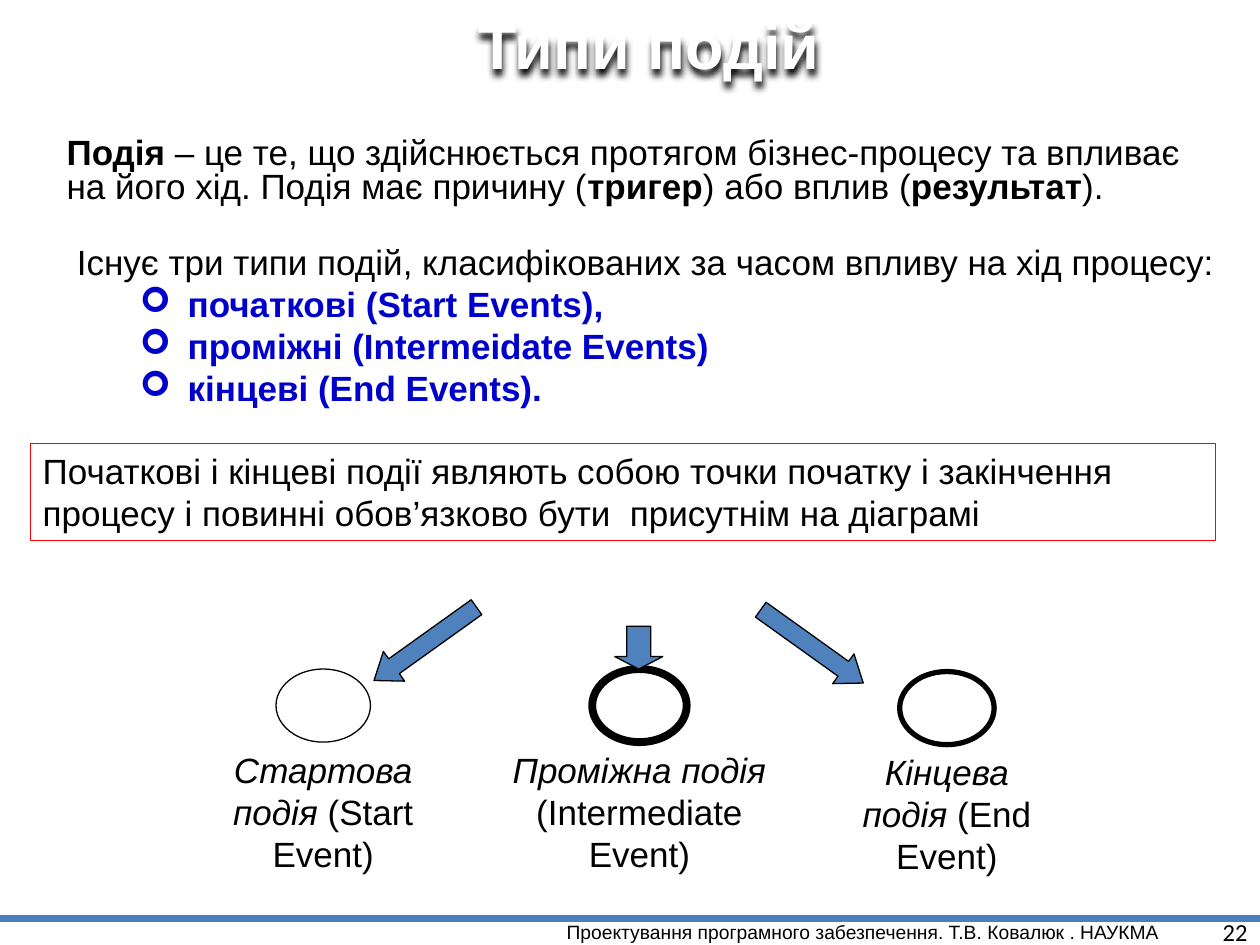
from dataclasses import dataclass

from lxml.etree import SubElement
from pptx import Presentation
from pptx.dml.color import RGBColor
from pptx.enum.shapes import MSO_CONNECTOR, MSO_SHAPE
from pptx.enum.text import MSO_ANCHOR, MSO_AUTO_SIZE, PP_ALIGN
from pptx.oxml.ns import qn
from pptx.util import Inches, Pt


@dataclass(frozen=True)
class Theme:
    ink: str = "000000"
    paper: str = "FFFFFF"
    emphasis: str = "0000CC"
    arrow: str = "4F81BD"
    rule: str = "4B7EBC"
    frame: str = "FF0000"
    font: str = "Arial"
    number_font: str = "Calibri"
    title_size: int = 36
    text_size: int = 20
    footer_size: int = 11
    number_size: int = 14
    thin: float = 0.75
    heavy: float = 4.5


THEME = Theme()


def set_all(target, values):
    for name, value in values.items():
        setattr(target, name, value)


def place(shape, box):
    set_all(shape, dict(zip(("left", "top", "width", "height"), map(Inches, box))))


def add_span(para, text, color=THEME.ink, size=THEME.text_size, font=THEME.font, **style):
    span = para.add_run()
    span.text = text
    set_all(span.font, {"name": font, "size": Pt(size), "bold": False, **style})
    span.font.color.rgb = RGBColor.from_string(color)


def add_text(shapes, box, spans, align=PP_ALIGN.LEFT, **frame_format):
    shape = shapes.add_textbox(*map(Inches, box))
    set_all(shape.text_frame, {"word_wrap": True, **frame_format})
    para = shape.text_frame.paragraphs[0]
    para.alignment = align
    for text, style in spans:
        add_span(para, text, **style)
    return para


def outline(shape, color, width):
    shape.shadow.inherit = False
    shape.line.color.rgb = RGBColor.from_string(color)
    shape.line.width = Pt(width)


def add_filled(shapes, kind, box, fill, width):
    shape = shapes.add_shape(kind, *map(Inches, box))
    shape.fill.solid()
    shape.fill.fore_color.rgb = RGBColor.from_string(fill)
    outline(shape, THEME.ink, width)
    return shape


def add_title(page, box):
    title = page.shapes.title
    place(title, box)
    set_all(title.text_frame, {
        "word_wrap": False,
        "vertical_anchor": MSO_ANCHOR.TOP,
        "auto_size": MSO_AUTO_SIZE.SHAPE_TO_FIT_TEXT,
    })
    para = title.text_frame.paragraphs[0]
    para.alignment = PP_ALIGN.LEFT
    add_span(para, "Типи подій", THEME.paper, THEME.title_size, bold=True)
    effects = SubElement(title._element.spPr, qn("a:effectLst"))
    shadow = SubElement(effects, qn("a:outerShdw"), blurRad=str(Pt(4)),
                        dist=str(Pt(4)), dir="5400000", algn="t", rotWithShape="0")
    SubElement(shadow, qn("a:srgbClr"), val=THEME.ink)


def add_definition(page, box):
    spans = [
        ("Подія", {"bold": True}),
        (" – це те, що здійснюється протягом бізнес-процесу та впливає "
         "на його хід. Подія має причину (", {}),
        ("тригер", {"bold": True}),
        (") або вплив (", {}),
        ("результат", {"bold": True}),
        (").", {}),
    ]
    add_text(page.shapes, box, spans).line_spacing = 0.8


def add_event_list(page, box):
    body = page.placeholders[1]
    place(body, box)
    frame = body.text_frame
    frame.auto_size = MSO_AUTO_SIZE.SHAPE_TO_FIT_TEXT
    intro = frame.paragraphs[0]
    intro.space_before = Pt(0)
    add_span(intro, "Існує три типи подій, класифікованих за часом впливу на хід процесу:")
    properties = intro._p.get_or_add_pPr()
    properties.set("marL", "0")
    properties.set("indent", "0")
    SubElement(properties, qn("a:buNone"))
    for text in ("початкові (Start Events),", "проміжні (Intermeidate Events)",
                 "кінцеві (End Events)."):
        para = frame.add_paragraph()
        set_all(para, {"level": 1, "space_before": Pt(0)})
        add_span(para, text, THEME.emphasis, bold=True)
        properties = para._p.get_or_add_pPr()
        properties.set("marL", str(Inches(0.88)))
        properties.set("indent", str(Inches(-0.38)))
        SubElement(properties, qn("a:buFont"), typeface="Wingdings")
        SubElement(properties, qn("a:buChar"), char="➢")


def add_note(page, box):
    note = page.shapes.add_shape(MSO_SHAPE.RECTANGLE, *map(Inches, box))
    note.fill.background()
    outline(note, THEME.frame, THEME.thin)
    set_all(note.text_frame, {"word_wrap": True, "vertical_anchor": MSO_ANCHOR.TOP})
    para = note.text_frame.paragraphs[0]
    para.alignment = PP_ALIGN.LEFT
    add_span(para, "Початкові і кінцеві події являють собою точки початку і закінчення "
                   "процесу і повинні обов’язково бути  присутнім на діаграмі")


def add_event(page, box, name, english, ring, arrow_box, rotation, head):
    left, top, width, height = box
    circle_width, circle_height = 0.75, 0.58
    group = page.shapes.add_group_shape()
    circle_box = (left + (width - circle_width) / 2, top, circle_width, circle_height)
    add_filled(group.shapes, MSO_SHAPE.OVAL, circle_box, THEME.paper, ring)
    label_box = (left, top + circle_height, width, height - circle_height)
    add_text(group.shapes, label_box, [(name, {"italic": True}), (english, {})],
             PP_ALIGN.CENTER)
    arrow = add_filled(group.shapes, MSO_SHAPE.DOWN_ARROW, arrow_box,
                       THEME.arrow, THEME.thin)
    arrow.rotation = rotation
    arrow.adjustments[1] = head


def add_footer(page, box):
    left, top, width, height = box
    rule = page.shapes.add_connector(MSO_CONNECTOR.STRAIGHT, Inches(left), Inches(top),
                                     Inches(left + width), Inches(top))
    rule.line.color.rgb = RGBColor.from_string(THEME.rule)
    rule.line.width = Pt(THEME.heavy)
    SubElement(rule._element.spPr, qn("a:effectLst"))
    course = "Проектування програмного забезпечення. Т.В. Ковалюк . НАУКМА"
    add_text(page.shapes, (left + 4.21, top, 5.28, height),
             [(course, {"size": THEME.footer_size})], PP_ALIGN.CENTER,
             vertical_anchor=MSO_ANCHOR.MIDDLE)
    add_text(page.shapes, (left + width - 0.75, top, 0.75, height),
             [("22", {"size": THEME.number_size, "font": THEME.number_font})],
             PP_ALIGN.RIGHT, vertical_anchor=MSO_ANCHOR.MIDDLE)


def main():
    deck = Presentation()
    set_all(deck, {"slide_width": Inches(10), "slide_height": Inches(7.5)})
    page = deck.slides.add_slide(deck.slide_layouts[1])
    add_footer(page, (0, 7.29, 10, 0.21))
    add_event_list(page, (0.51, 1.86, 9.49, 1.45))
    add_title(page, (3.7, 0, 3.08, 0.71))
    add_definition(page, (0.43, 1.05, 9.21, 0.68))
    events = [
        ((1.69, 5.31, 1.75, 1.69), "Стартова подія ", "(Start Event)", THEME.thin,
         (3.23, 4.61, 0.29, 1), 54.4, 0.67),
        ((6.64, 5.33, 1.75, 1.69), "Кінцева подія ", "(End Event)", 3,
         (6.3, 4.63, 0.29, 1), 305.6, 0.67),
        ((3.92, 5.31, 2.31, 1.69), "Проміжна подія ", "(Intermediate Event)", THEME.heavy,
         (4.88, 4.97, 0.38, 0.34), 0, 0.29),
    ]
    for event in events:
        add_event(page, *event)
    add_note(page, (0.24, 3.52, 9.41, 0.77))
    deck.save("out.pptx")


if __name__ == "__main__":
    main()
